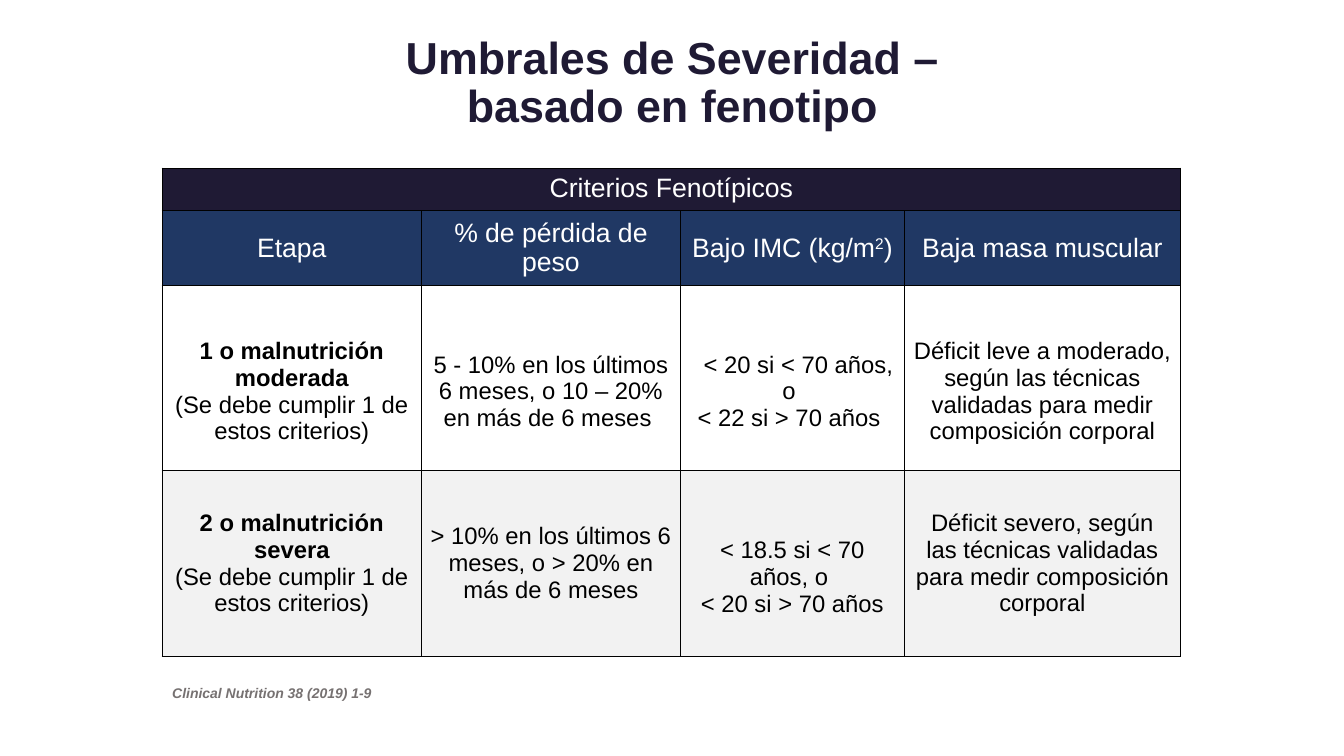
from dataclasses import dataclass

from lxml import etree
from pptx import Presentation
from pptx.dml.color import RGBColor
from pptx.enum.text import MSO_ANCHOR, MSO_AUTO_SIZE, PP_ALIGN
from pptx.oxml.ns import qn
from pptx.util import Inches, Pt

CENTER = PP_ALIGN.CENTER
MIDDLE, TOP = MSO_ANCHOR.MIDDLE, MSO_ANCHOR.TOP
NO_AUTOFIT = MSO_AUTO_SIZE.NONE
TITLE_ONLY = 5
FONT = "Arial"
COLORS = {
    "navy": "1F1A34",
    "blue": "203864",
    "white": "FFFFFF",
    "light": "F2F2F2",
    "black": "000000",
    "gray": "767171",
}
COLUMN_WIDTHS = (2.57, 2.57, 2.22, 2.74)
ROW_HEIGHTS = (0.42, 0.74, 1.84, 1.84)
MARGIN_X, MARGIN_Y = 0.09, 0.05
LOWERED = 0.27  # one text line of extra top margin


@dataclass(frozen=True)
class Line:
    text: str
    bold: bool = False
    indent: float = 0
    superscript: str = ""
    tail: str = ""


@dataclass(frozen=True)
class Entry:
    lines: tuple[Line, ...]
    lowered: bool = False


@dataclass(frozen=True)
class Band:
    entries: tuple[Entry, ...]
    fill: str
    color: str
    size: int
    anchor: MSO_ANCHOR = MIDDLE


def entry(*lines: str | Line, lowered: bool = False) -> Entry:
    return Entry(tuple(Line(x) if isinstance(x, str) else x for x in lines), lowered)


REQUIREMENT = "(Se debe cumplir 1 de estos criterios)"
BANDS = (
    Band((entry("Criterios Fenotípicos"),), "navy", "white", 19, TOP),
    Band((
        entry("Etapa"),
        entry("% de pérdida de peso"),
        entry(Line("Bajo IMC (kg/m", superscript="2", tail=") ")),
        entry("Baja masa muscular"),
    ), "blue", "white", 19),
    Band((
        entry(Line("1 o malnutrición moderada", bold=True), REQUIREMENT, lowered=True),
        entry("5 - 10% en los últimos 6 meses, o 10 – 20% en más de 6 meses ", lowered=True),
        entry(Line("< 20 si < 70 años, ", indent=0.12), "o ", "< 22 si > 70 años ",
              lowered=True),
        entry("Déficit leve a moderado, según las técnicas validadas para medir "
              "composición corporal", lowered=True),
    ), "white", "black", 17),
    Band((
        entry(Line("2 o malnutrición severa", bold=True), REQUIREMENT),
        entry("> 10% en los últimos 6 meses, o > 20% en más de 6 meses"),
        entry("< 18.5 si < 70 años, o ", "< 20 si > 70 años", lowered=True),
        entry("Déficit severo, según las técnicas validadas para medir composición corporal"),
    ), "light", "black", 17),
)


def style(para, size: int, color: str, bold: bool = False, italic: bool = False) -> None:
    font = para.font
    font.name, font.size, font.bold, font.italic = FONT, Pt(size), bold, italic
    font.color.rgb = RGBColor.from_string(COLORS[color])


def add_borders(cell) -> None:
    properties = cell._tc.get_or_add_tcPr()
    for index, side in enumerate(("lnL", "lnR", "lnT", "lnB")):
        border = etree.Element(qn(f"a:{side}"), w=str(Pt(1)))
        fill = etree.SubElement(border, qn("a:solidFill"))
        etree.SubElement(fill, qn("a:srgbClr"), val=COLORS["black"])
        properties.insert(index, border)


def write_entry(cell, content: Entry, band: Band) -> None:
    cell.vertical_anchor = band.anchor
    cell.margin_left = cell.margin_right = Inches(MARGIN_X)
    cell.margin_top = Inches(MARGIN_Y + LOWERED * content.lowered)
    cell.margin_bottom = Inches(MARGIN_Y)
    frame = cell.text_frame
    for index, line in enumerate(content.lines):
        para = frame.add_paragraph() if index else frame.paragraphs[0]
        para.alignment = CENTER
        if line.indent:
            para._p.get_or_add_pPr().set("marL", str(Inches(line.indent)))
        para.add_run().text = line.text
        if line.superscript:
            raised = para.add_run()
            raised.text = line.superscript
            raised._r.get_or_add_rPr().set("baseline", "30000")
            para.add_run().text = line.tail
        style(para, band.size, band.color, line.bold)


def add_title(page) -> None:
    title = page.shapes.title
    title.left, title.top = Inches(3.25), Inches(0.11)
    title.width, title.height = Inches(6.84), Inches(1.45)
    frame = title.text_frame
    frame.text = "Umbrales de Severidad – basado en fenotipo"
    frame.auto_size, frame.word_wrap = NO_AUTOFIT, True
    frame.vertical_anchor = MIDDLE
    para = frame.paragraphs[0]
    para.alignment, para.line_spacing = CENTER, 0.9
    style(para, 32, "navy", bold=True)


def add_criteria_table(page) -> None:
    table = page.shapes.add_table(
        len(ROW_HEIGHTS), len(COLUMN_WIDTHS), Inches(1.61), Inches(1.67),
        Inches(sum(COLUMN_WIDTHS)), Inches(sum(ROW_HEIGHTS))).table
    table.first_row = table.horz_banding = False
    for column, width in zip(table.columns, COLUMN_WIDTHS):
        column.width = Inches(width)
    table.cell(0, 0).merge(table.cell(0, len(COLUMN_WIDTHS) - 1))
    for row, height, band in zip(table.rows, ROW_HEIGHTS, BANDS):
        row.height = Inches(height)
        for cell in row.cells:
            cell.fill.solid()
            cell.fill.fore_color.rgb = RGBColor.from_string(COLORS[band.fill])
            add_borders(cell)
        for cell, content in zip(row.cells, band.entries):
            write_entry(cell, content, band)


def add_citation(page) -> None:
    box = page.shapes.add_textbox(Inches(1.61), Inches(6.74), Inches(2.29), Inches(0.22))
    box.text_frame.word_wrap = True
    para = box.text_frame.paragraphs[0]
    para.text = "Clinical Nutrition 38 (2019) 1-9"
    style(para, 10, "gray", bold=True, italic=True)


def main() -> None:
    deck = Presentation()
    deck.slide_width, deck.slide_height = Inches(13.33), Inches(7.5)
    page = deck.slides.add_slide(deck.slide_layouts[TITLE_ONLY])
    add_title(page)
    add_criteria_table(page)
    add_citation(page)
    deck.save("out.pptx")


if __name__ == "__main__":
    main()
